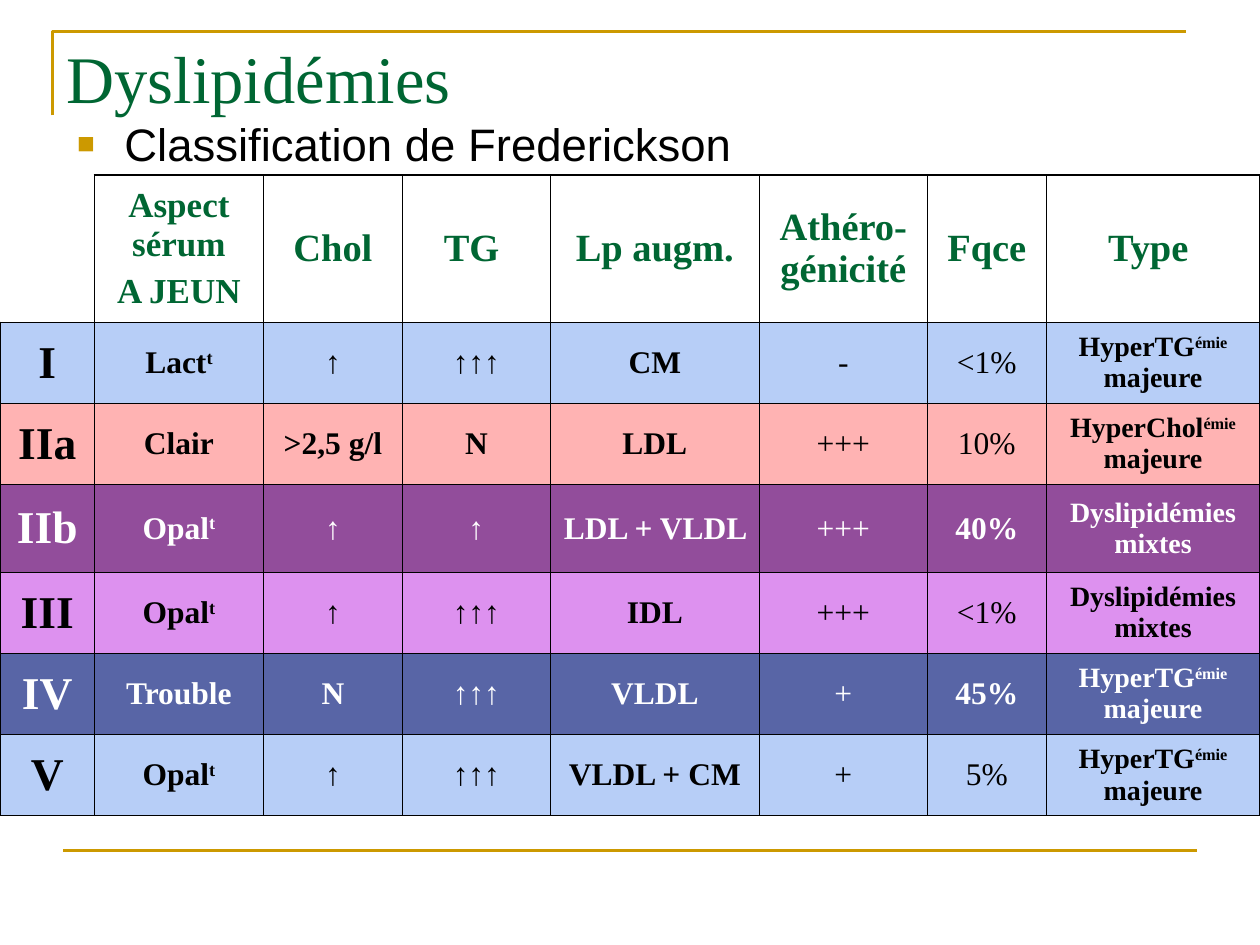
from lxml import etree
from pptx import Presentation
from pptx.dml.color import RGBColor
from pptx.enum.shapes import MSO_CONNECTOR
from pptx.enum.text import MSO_ANCHOR, PP_ALIGN
from pptx.oxml.ns import qn
from pptx.util import Pt

STRAIGHT = MSO_CONNECTOR.STRAIGHT
MIDDLE = MSO_ANCHOR.MIDDLE
CENTER = PP_ALIGN.CENTER

SERIF = "Times New Roman"
SANS = "Arial"
COLORS = {
    "gold": "CC9900", "green": "006633", "black": "000000", "white": "FFFFFF",
    "blue": "B7CEF7", "rose": "FFB3B3", "purple": "924D9B",
    "lilac": "DD91EF", "indigo": "5865A6",
}
THIN, THICK = 0.45, 1.08

COLUMN_WIDTHS = [54, 96.5, 79.5, 84.5, 119.5, 96, 68, 122]
ROW_HEIGHTS = [84, 46.3, 46.3, 50.3, 46.3, 46.3, 46.3]
ATHERO, FREQUENCY = 5, 6
BODY_SIZES = [26] + [18] * 6 + [16]
# Text between carets is superscript; a line break starts a new paragraph.
HEADER = ["", "Aspect sérum\nA JEUN", "Chol", "TG ", "Lp augm.",
          "Athéro-génicité", "Fqce", "Type "]
TYPES = [
    ("blue", "black", ["I", "Lact^t^", "↑", "↑↑↑", "CM", "-", "<1%",
                       "HyperTG^émie^ majeure"]),
    ("rose", "black", ["IIa", "Clair", ">2,5 g/l", "N", "LDL", "+++", "10%",
                       "HyperChol^émie^ majeure"]),
    ("purple", "white", ["IIb", "Opal^t^", "↑", "↑", "LDL + VLDL ", "+++", "40%",
                         "Dyslipidémies mixtes"]),
    ("lilac", "black", ["III", "Opal^t^", "↑", "↑↑↑", "IDL", "+++", "<1%",
                        "Dyslipidémies mixtes"]),
    ("indigo", "white", ["IV", "Trouble", "N", "↑↑↑", "VLDL", "+", "45%",
                         "HyperTG^émie^ majeure"]),
    ("blue", "black", ["V", "Opal^t^", "↑", "↑↑↑", "VLDL + CM", "+", "5%",
                       "HyperTG^émie^ majeure"]),
]


def rgb(name):
    return RGBColor.from_string(COLORS[name])


def add_spans(para, text, size, color, font=SERIF, bold=False):
    for index, part in enumerate(text.split("^")):
        if not part:
            continue
        span = para.add_run()
        span.text = part
        span.font.name = font
        span.font.size = Pt(size)
        span.font.bold = bold
        span.font.color.rgb = rgb(color)
        if index % 2:
            span.font._element.set("baseline", "30000")


def add_frame(page, left, top, width, height):
    """Draw the gold corner above the title and the rule at the foot."""
    builder = page.shapes.build_freeform(Pt(left), Pt(top + 48))
    builder.add_line_segments(
        [(Pt(left), Pt(top)), (Pt(left + width), Pt(top))], close=False)
    corner = builder.convert_to_shape()
    corner.shadow.inherit = False
    corner.fill.background()
    rule = page.shapes.add_connector(
        STRAIGHT, Pt(left + 6), Pt(top + height),
        Pt(left + 6 + width), Pt(top + height))
    etree.SubElement(rule._element.spPr, qn("a:effectLst"))
    for shape in (corner, rule):
        shape.line.color.rgb = rgb("gold")
        shape.line.width = Pt(1.5)


def add_text_box(page, left, top, width, height):
    """Return the first paragraph of a new wrapping text box."""
    box = page.shapes.add_textbox(Pt(left), Pt(top), Pt(width), Pt(height))
    box.text_frame.word_wrap = True
    return box.text_frame.paragraphs[0]


def add_title(page, left, top, width, height):
    para = add_text_box(page, left, top, width, height)
    add_spans(para, "Dyslipidémies", 38, "green")


def add_subtitle(page, left, top, width, height):
    para = add_text_box(page, left, top, width, height)
    props = para._p.get_or_add_pPr()
    props.set("marL", str(Pt(27)))
    props.set("indent", str(Pt(-27)))
    bullet_color = etree.SubElement(props, qn("a:buClr"))
    etree.SubElement(bullet_color, qn("a:srgbClr"), val=COLORS["gold"])
    etree.SubElement(props, qn("a:buSzPct"), val="65000")
    etree.SubElement(props, qn("a:buFont"), typeface=SANS)
    etree.SubElement(props, qn("a:buChar"), char="■")
    add_spans(para, "Classification de Frederickson", 26, "black", SANS)


def set_borders(cell, widths):
    """Set left, right, top and bottom borders; zero means no line."""
    props = cell._tc.get_or_add_tcPr()
    for index, (side, width) in enumerate(zip("LRTB", widths)):
        line = etree.Element(qn(f"a:ln{side}"), w=str(Pt(width)))
        if width:
            fill = etree.SubElement(line, qn("a:solidFill"))
            etree.SubElement(fill, qn("a:srgbClr"), val=COLORS["black"])
        else:
            etree.SubElement(line, qn("a:noFill"))
        props.insert(index, line)


def border_widths(row, column):
    """Thick around the outline, which steps in at the empty corner cell."""
    if (row, column) == (0, 0):
        return 0, THICK, 0, THICK
    last_row, last_column = len(ROW_HEIGHTS) - 1, len(COLUMN_WIDTHS) - 1
    edges = (
        column == 0 or (row, column) == (0, 1),
        column == last_column,
        row == 0 or (row, column) == (1, 0),
        row == last_row,
    )
    return [THICK if edge else THIN for edge in edges]


def fill_cell(cell, text, size, color, font, bold):
    cell.vertical_anchor = MIDDLE
    for index, line in enumerate(text.split("\n")):
        frame = cell.text_frame
        para = frame.add_paragraph() if index else frame.paragraphs[0]
        para.alignment = CENTER
        if index:
            para.space_before = Pt(5)
        add_spans(para, line, size, color, font, bold)


def add_classification(page, left, top):
    table = page.shapes.add_table(
        len(ROW_HEIGHTS), len(COLUMN_WIDTHS), Pt(left), Pt(top),
        Pt(sum(COLUMN_WIDTHS)), Pt(sum(ROW_HEIGHTS))).table
    table.first_row = table.horz_banding = False
    for column, width in zip(table.columns, COLUMN_WIDTHS):
        column.width = Pt(width)
    for row, height in zip(table.rows, ROW_HEIGHTS):
        row.height = Pt(height)

    for row, (fill, color, texts) in enumerate([(None, "green", HEADER)] + TYPES):
        for column, text in enumerate(texts):
            cell = table.cell(row, column)
            if fill:
                cell.fill.solid()
                cell.fill.fore_color.rgb = rgb(fill)
                size = BODY_SIZES[column]
            else:
                cell.fill.background()
                size = 20 if "\n" in text else 22
            regular = fill and (column == ATHERO or
                                column == FREQUENCY and color == "black")
            font = SANS if "↑" in text else SERIF
            fill_cell(cell, text, size, color, font, not regular)
            set_borders(cell, border_widths(row, column))


def main():
    deck = Presentation()
    deck.slide_width, deck.slide_height = Pt(720), Pt(540)
    page = deck.slides.add_slide(deck.slide_layouts[6])
    add_frame(page, 30, 18, 648, 468)
    add_title(page, 31, 17.5, 648, 51)
    add_subtitle(page, 37, 62.5, 562, 40)
    add_classification(page, 0, 100)
    deck.save("out.pptx")


if __name__ == "__main__":
    main()
